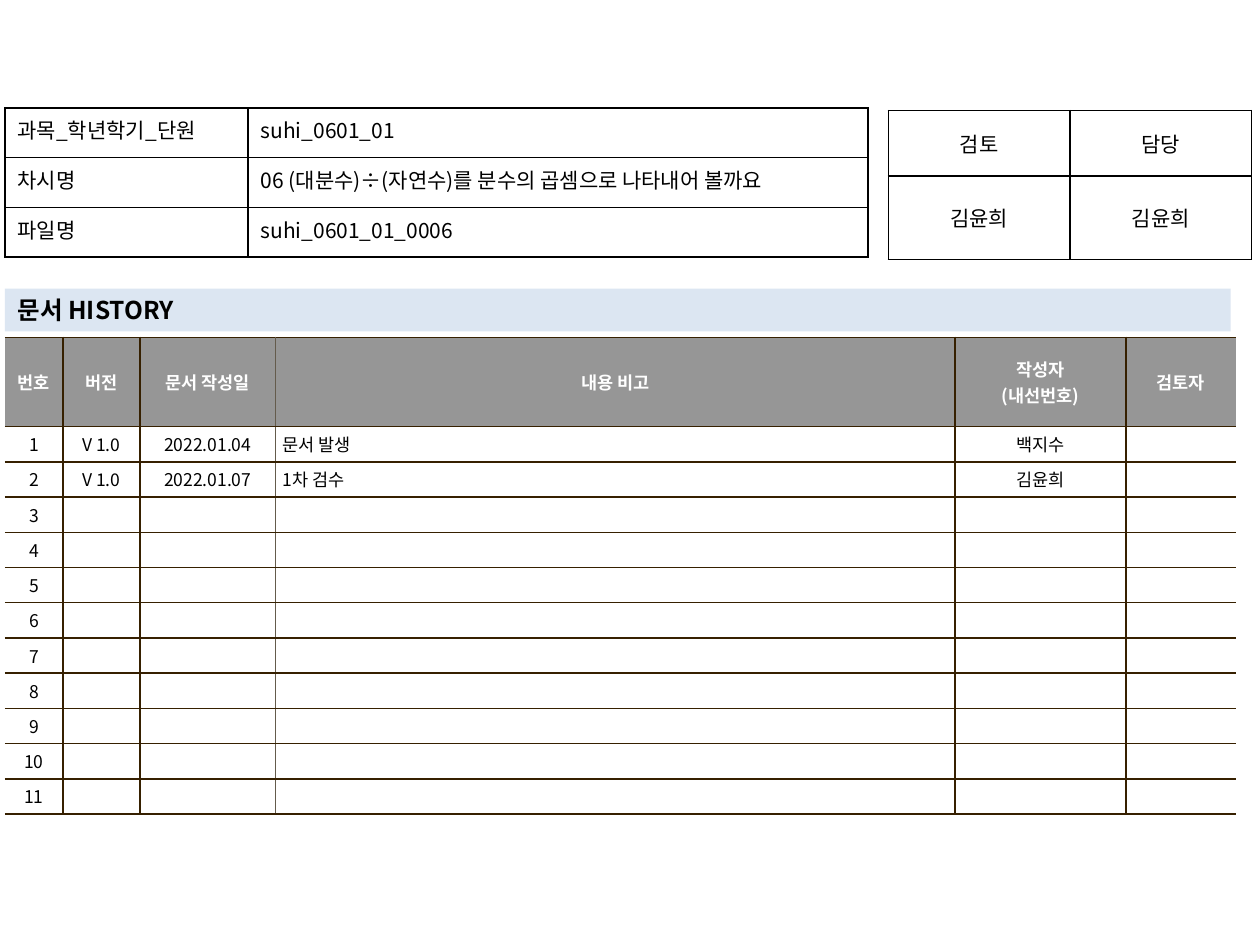
from lxml import etree
from pptx import Presentation
from pptx.dml.color import RGBColor
from pptx.enum.text import MSO_ANCHOR, MSO_AUTO_SIZE, PP_ALIGN
from pptx.oxml.ns import qn
from pptx.util import Cm, Pt

LEFT, CENTER, JUSTIFY = PP_ALIGN.LEFT, PP_ALIGN.CENTER, PP_ALIGN.JUSTIFY
TOP, MIDDLE = MSO_ANCHOR.TOP, MSO_ANCHOR.MIDDLE

BLACK = RGBColor(0x00, 0x00, 0x00)
WHITE = RGBColor(0xFF, 0xFF, 0xFF)
GRAY = RGBColor(0x96, 0x96, 0x96)
PALE_BLUE = RGBColor(0xDC, 0xE6, 0xF2)
BROWN = RGBColor(0x36, 0x20, 0x00)
TAUPE = RGBColor(0x64, 0x5B, 0x4C)

FONT = "Noto Sans CJK KR"
DATE_COL, NOTE_COL = 2, 3


class SlideBuilder:
    def __init__(self, s):
        self.s = s

    def style_text(self, tf, size, color=BLACK, bold=False, align=LEFT):
        for p in tf.paragraphs:
            p.alignment = align
            for r in p.runs:
                r.font.size = Pt(size)
                r.font.bold = bold
                r.font.name = FONT
                r.font.color.rgb = color
                ea = etree.SubElement(r.font._element, qn("a:ea"))
                ea.set("typeface", FONT)
            if not p.runs:
                # Keeps an empty cell from stretching its row
                end = etree.SubElement(p._p, qn("a:endParaRPr"))
                end.set("sz", str(size * 100))

    def title(self, text, x, y, w, h):
        sp = self.s.shapes.title
        sp.left, sp.top, sp.width, sp.height = Cm(x), Cm(y), Cm(w), Cm(h)
        sp.fill.solid()
        sp.fill.fore_color.rgb = PALE_BLUE
        tf = sp.text_frame
        tf.text = text
        tf.auto_size = MSO_AUTO_SIZE.NONE
        tf.vertical_anchor = MIDDLE
        self.style_text(tf, 14, bold=True)

    def table(self, rows, x, y, widths, heights):
        """Add a table without banding and return it with its texts filled in."""
        frame = self.s.shapes.add_table(len(rows), len(widths), Cm(x), Cm(y),
                                        Cm(sum(widths)), Cm(sum(heights)))
        table = frame.table
        table.first_row = table.horz_banding = False
        for column, width in zip(table.columns, widths):
            column.width = Cm(width)
        for row, height, texts in zip(table.rows, heights, rows):
            row.height = Cm(height)
            for cell, text in zip(row.cells, texts):
                cell.text = text
        return table

    def borders(self, cell, left=BLACK, right=BLACK, top=BLACK, bottom=BLACK):
        """Draw 1 pt cell edges; None leaves an edge open."""
        tcPr = cell._tc.get_or_add_tcPr()
        edges = {"L": left, "R": right, "T": top, "B": bottom}
        for side, color in edges.items():
            ln = etree.SubElement(tcPr, qn(f"a:ln{side}"), w=str(Pt(1)))
            if color is None:
                etree.SubElement(ln, qn("a:noFill"))
            else:
                fill = etree.SubElement(ln, qn("a:solidFill"))
                etree.SubElement(fill, qn("a:srgbClr"), val=str(color))

    def form_table(self, rows, x, y, widths, heights, aligns, anchor):
        table = self.table(rows, x, y, widths, heights)
        for row in table.rows:
            for cell, align in zip(row.cells, aligns):
                self.borders(cell)
                cell.fill.background()
                cell.vertical_anchor = anchor
                self.style_text(cell.text_frame, 12, align=align)

    def history_table(self, rows, x, y, widths, heights):
        table = self.table(rows, x, y, widths, heights)
        last = len(widths) - 1
        for i, row in enumerate(table.rows):
            header = i == 0
            for j, cell in enumerate(row.cells):
                left = {0: None, NOTE_COL: TAUPE}.get(j, BROWN)
                right = {last: None, DATE_COL: TAUPE}.get(j, BROWN)
                self.borders(cell, left, right, BROWN, BROWN)
                cell.fill.solid()
                cell.fill.fore_color.rgb = GRAY if header else WHITE
                cell.vertical_anchor = MIDDLE
                cell.margin_left = cell.margin_right = Cm(0.15)
                cell.margin_top = cell.margin_bottom = Cm(0.1)
                align = LEFT if j == NOTE_COL and not header else CENTER
                self.style_text(cell.text_frame, 10,
                                WHITE if header else BLACK, header, align)


def main():
    prs = Presentation()
    prs.slide_width, prs.slide_height = Cm(25.4), Cm(19.05)
    title_only = prs.slide_layouts[5]
    b = SlideBuilder(prs.slides.add_slide(title_only))

    history = [
        ["번호", "버전", "문서 작성일", "내용 비고", "작성자\n(내선번호)", "검토자"],
        ["1", "V 1.0", "2022.01.04", "문서 발생", "백지수", ""],
        ["2", "V 1.0", "2022.01.07", "1차 검수", "김윤희", ""],
    ]
    history += [[str(n)] + [""] * 5 for n in range(3, 12)]
    b.history_table(history, 0.1, 6.8, [1.17, 1.55, 2.73, 13.7, 3.45, 2.21],
                    [1.8] + [0.71] * 11)

    approval = [["검토", "담당"], ["김윤희", "김윤희"]]
    b.form_table(approval, 17.91, 2.23, [3.66] * 2, [1.32, 1.68],
                 [CENTER] * 2, MIDDLE)

    b.title("문서 HISTORY", 0.1, 5.82, 24.71, 0.86)

    lesson = [
        ["과목_학년학기_단원", "suhi_0601_01"],
        ["차시명", "06 (대분수)÷(자연수)를 분수의 곱셈으로 나타내어 볼까요"],
        ["파일명", "suhi_0601_01_0006"],
    ]
    b.form_table(lesson, 0.1, 2.18, [4.9, 12.5], [1] * 3, [JUSTIFY, LEFT], TOP)

    prs.save("out.pptx")


if __name__ == "__main__":
    main()
